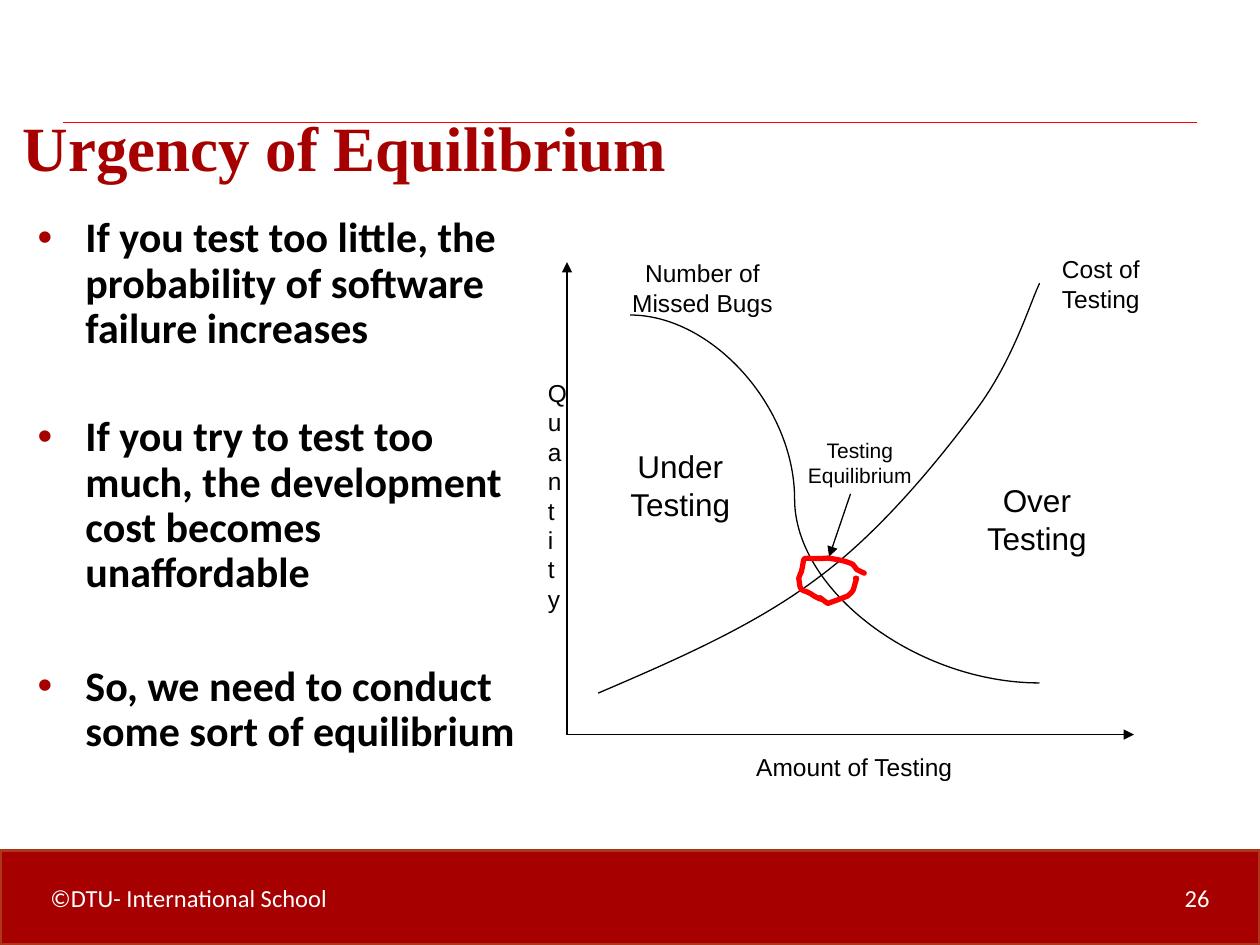
from dataclasses import dataclass

from lxml import etree
from pptx import Presentation
from pptx.dml.color import RGBColor
from pptx.enum.shapes import MSO_CONNECTOR, MSO_SHAPE
from pptx.enum.text import MSO_ANCHOR, MSO_AUTO_SIZE, PP_ALIGN
from pptx.oxml.ns import qn
from pptx.util import Pt

EMU_PER_PX = 9144
STRAIGHT, CURVE = MSO_CONNECTOR.STRAIGHT, MSO_CONNECTOR.CURVE
RECTANGLE = MSO_SHAPE.RECTANGLE
LEFT, CENTER = PP_ALIGN.LEFT, PP_ALIGN.CENTER
MIDDLE = MSO_ANCHOR.MIDDLE
NO_AUTOFIT = MSO_AUTO_SIZE.NONE


@dataclass(frozen=True)
class Theme:
    crimson: RGBColor = RGBColor(0xA6, 0x00, 0x00)
    rust: RGBColor = RGBColor(0xAC, 0x38, 0x19)
    red: RGBColor = RGBColor(0xFF, 0x00, 0x00)
    black: RGBColor = RGBColor(0x00, 0x00, 0x00)
    white: RGBColor = RGBColor(0xFF, 0xFF, 0xFF)
    title_font: str = "Times New Roman"
    body_font: str = "Calibri"
    label_font: str = "Arial"
    title_size: int = 36
    body_size: int = 24
    region_size: int = 18
    label_size: int = 14
    note_size: int = 12
    thin: float = 0.75
    border: float = 2
    marker: float = 3


THEME = Theme()


@dataclass(frozen=True)
class Box:
    left: int
    top: int
    width: int
    height: int

    def emu(self) -> tuple:
        return tuple(px(v) for v in (self.left, self.top, self.width, self.height))


@dataclass(frozen=True)
class Label:
    box: Box
    lines: tuple
    size: int = THEME.label_size
    alignment: PP_ALIGN = CENTER
    wrap: bool = False


@dataclass(frozen=True)
class Line:
    start: tuple
    end: tuple
    color: RGBColor = THEME.black
    arrow: bool = True


@dataclass(frozen=True)
class Bullet:
    text: str
    space_before: int


@dataclass(frozen=True)
class BezierPath:
    points: tuple
    color: RGBColor
    width: float


FOOTER_BOX = Box(0, 675, 1000, 75)
TITLE_BOX = Box(8, 80, 983, 73)
BODY_BOX = Box(20, 167, 400, 449)
ORIGIN = (450, 583)

LINES = (
    Line((50, 97), (950, 97), THEME.red, arrow=False),
    Line(ORIGIN, (450, 208)),
    Line(ORIGIN, (900, 583)),
    Line((675, 392), (658, 442)),
)

BULLETS = (
    Bullet("If you test too little, the probability of software failure increases", 0),
    Bullet("If you try to test too much, the development cost becomes unaffordable", 36),
    Bullet("So, we need to conduct some sort of equilibrium", 39),
)

LABELS = (
    Label(Box(833, 197, 87, 57), ("Cost of", "Testing"), alignment=LEFT),
    Label(Box(487, 200, 141, 57), ("Number of", "Missed Bugs")),
    Label(Box(758, 377, 130, 90), ("Over", "Testing"), THEME.region_size),
    Label(Box(589, 592, 178, 33), ("Amount of Testing",)),
    Label(Box(475, 350, 130, 90), ("Under", "Testing"), THEME.region_size),
    Label(Box(631, 342, 103, 50), ("Testing", "Equilibrium"), THEME.note_size),
    Label(Box(425, 295, 24, 196), ("Quantity",), wrap=True),
)

COST_CURVE = BezierPath((
    (475, 550),
    (538, 523), (600, 496), (650, 458),
    (700, 421), (746, 364), (775, 325),
    (804, 286), (817, 242), (825, 225),
), THEME.black, THEME.thin)

EQUILIBRIUM_RING = BezierPath((
    (686, 455),
    (684, 454), (682, 453), (680, 452),
    (679, 451), (678, 449), (677, 448),
    (671, 445), (664, 444), (657, 443),
    (633, 445), (640, 438), (636, 454),
    (635, 455), (635, 457), (634, 459),
    (635, 462), (634, 465), (636, 468),
    (637, 469), (639, 469), (641, 470),
    (643, 471), (645, 472), (646, 473),
    (661, 481), (642, 468), (657, 479),
    (657, 479), (668, 475), (668, 475),
    (668, 475), (673, 473), (673, 473),
    (679, 467), (676, 471), (680, 459),
    (680, 459), (679, 459), (679, 459),
), THEME.red, THEME.marker)


def px(value: int) -> int:
    return value * EMU_PER_PX


def add_run(paragraph, text: str, font: str, size: int, color: RGBColor, bold: bool = False) -> None:
    run = paragraph.add_run()
    run.text = text
    run.font.name = font
    run.font.size = Pt(size)
    run.font.bold = bold
    run.font.color.rgb = color


def paragraph_at(frame, index: int):
    return frame.add_paragraph() if index else frame.paragraphs[0]


def add_line(slide, line: Line, kind: MSO_CONNECTOR = STRAIGHT):
    connector = slide.shapes.add_connector(kind, *(px(v) for v in line.start + line.end))
    connector.line.color.rgb = line.color
    connector.line.width = Pt(THEME.thin)
    properties = connector._element.spPr
    etree.SubElement(properties, qn("a:effectLst"))
    if line.arrow:
        etree.SubElement(properties.find(qn("a:ln")), qn("a:tailEnd"), type="triangle")
    return connector


def add_missed_bugs_curve(slide) -> None:
    connector = add_line(slide, Line((500, 250), (825, 542), arrow=False), CURVE)
    geometry = connector._element.spPr.find(qn("a:prstGeom"))
    adjustments = geometry.find(qn("a:avLst"))
    etree.SubElement(adjustments, qn("a:gd"), name="adj1", fmla="val 40200")


def add_bezier(slide, curve: BezierPath) -> None:
    builder = slide.shapes.build_freeform(*curve.points[0], scale=EMU_PER_PX)
    builder.add_line_segments(curve.points[1:], close=False)
    shape = builder.convert_to_shape()
    shape.shadow.inherit = False
    shape.fill.background()
    shape.line.color.rgb = curve.color
    shape.line.width = Pt(curve.width)
    shape._element.spPr.find(qn("a:ln")).set("cap", "rnd")
    outline = shape._element.xpath(".//a:path")[0]
    segments = outline.findall(qn("a:lnTo"))
    for first in range(0, len(segments), 3):
        cubic = etree.SubElement(outline, qn("a:cubicBezTo"))
        for segment in segments[first:first + 3]:
            cubic.append(segment[0])
            outline.remove(segment)


def add_label(slide, label: Label) -> None:
    frame = slide.shapes.add_textbox(*label.box.emu()).text_frame
    frame.word_wrap = label.wrap
    for index, text in enumerate(label.lines):
        paragraph = paragraph_at(frame, index)
        paragraph.alignment = label.alignment
        add_run(paragraph, text, THEME.label_font, label.size, THEME.black)


def add_footer(slide) -> None:
    shape = slide.shapes.add_shape(RECTANGLE, *FOOTER_BOX.emu())
    shape.shadow.inherit = False
    shape.fill.solid()
    shape.fill.fore_color.rgb = THEME.crimson
    shape.line.color.rgb = THEME.rust
    shape.line.width = Pt(THEME.border)
    frame = shape.text_frame
    frame.vertical_anchor = MIDDLE
    frame.margin_left = px(40)
    paragraph = frame.paragraphs[0]
    paragraph.alignment = LEFT
    tabs = etree.SubElement(paragraph._p.get_or_add_pPr(), qn("a:tabLst"))
    etree.SubElement(tabs, qn("a:tab"), pos=str(px(920)), algn="r")
    add_run(paragraph, "©DTU- International School\t26", THEME.body_font, THEME.label_size, THEME.white)


def set_title(slide) -> None:
    title = slide.shapes.title
    title.left, title.top, title.width, title.height = TITLE_BOX.emu()
    frame = title.text_frame
    frame.auto_size = NO_AUTOFIT
    frame.vertical_anchor = MIDDLE
    paragraph = frame.paragraphs[0]
    paragraph.alignment = LEFT
    add_run(paragraph, "Urgency of Equilibrium", THEME.title_font, THEME.title_size, THEME.crimson, True)


def add_body(slide) -> None:
    frame = slide.shapes.add_textbox(*BODY_BOX.emu()).text_frame
    frame.word_wrap = True
    for index, bullet in enumerate(BULLETS):
        paragraph = paragraph_at(frame, index)
        paragraph.line_spacing = 0.9
        paragraph.space_before = Pt(bullet.space_before)
        properties = paragraph._p.get_or_add_pPr()
        properties.set("marL", str(px(38)))
        properties.set("indent", str(px(-38)))
        color = etree.SubElement(properties, qn("a:buClr"))
        etree.SubElement(color, qn("a:srgbClr"), val=str(THEME.crimson))
        etree.SubElement(properties, qn("a:buFont"), typeface=THEME.label_font)
        etree.SubElement(properties, qn("a:buChar"), char="•")
        add_run(paragraph, bullet.text, THEME.body_font, THEME.body_size, THEME.black, True)


def main() -> None:
    presentation = Presentation()
    presentation.slide_width, presentation.slide_height = px(1000), px(750)
    slide = presentation.slides.add_slide(presentation.slide_layouts[5])
    add_footer(slide)
    set_title(slide)
    add_body(slide)
    for line in LINES:
        add_line(slide, line)
    add_missed_bugs_curve(slide)
    add_bezier(slide, COST_CURVE)
    for label in LABELS:
        add_label(slide, label)
    add_bezier(slide, EQUILIBRIUM_RING)
    presentation.save("out.pptx")


if __name__ == "__main__":
    main()
